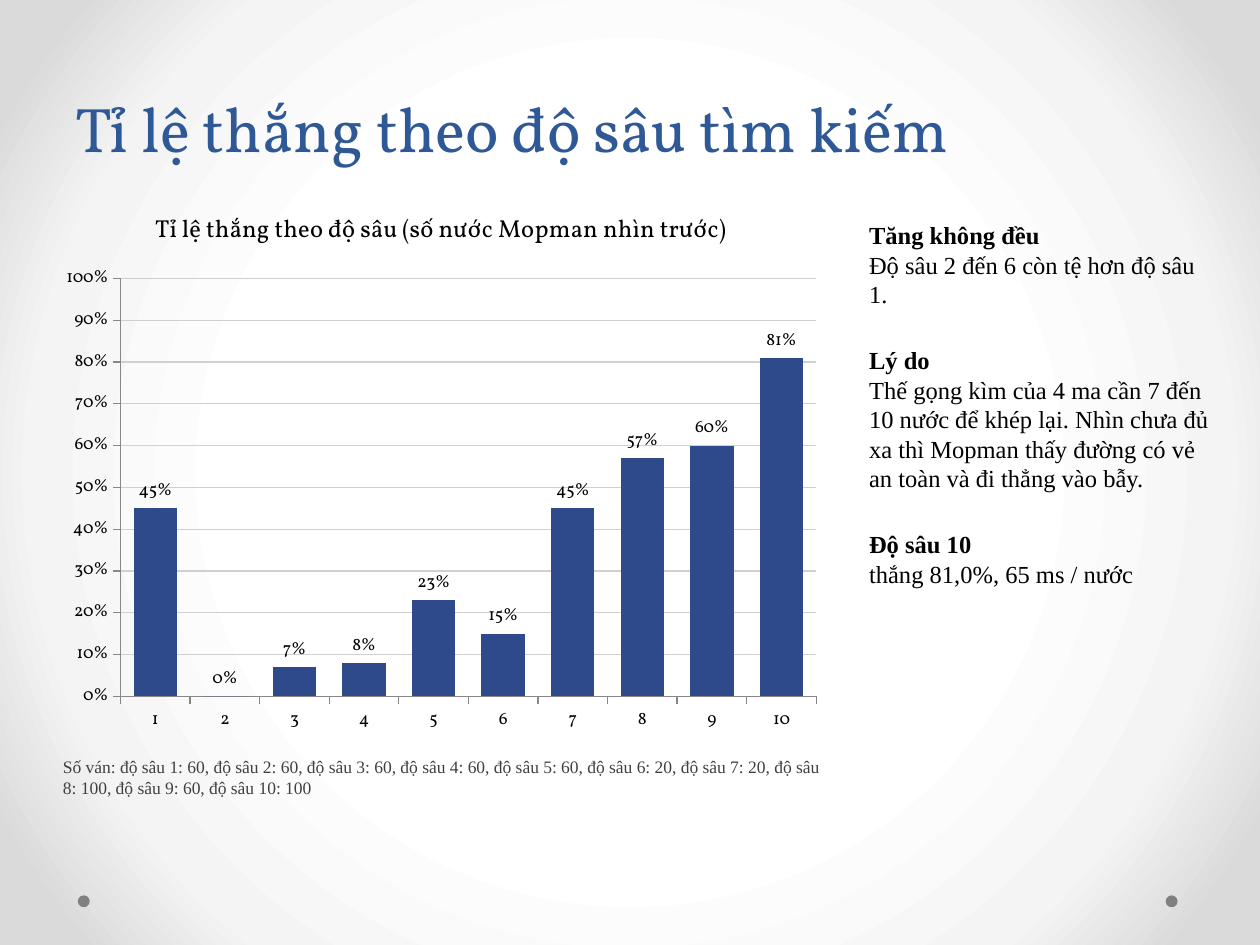
from lxml.etree import SubElement
from pptx import Presentation
from pptx.chart.data import CategoryChartData
from pptx.dml.color import RGBColor
from pptx.enum.chart import XL_CHART_TYPE, XL_LABEL_POSITION, XL_TICK_MARK
from pptx.enum.shapes import MSO_SHAPE
from pptx.enum.text import MSO_ANCHOR, MSO_AUTO_SIZE, PP_ALIGN
from pptx.oxml import parse_xml
from pptx.oxml.ns import nsdecls, qn
from pptx.util import Cm, Pt

BLACK = RGBColor(0x00, 0x00, 0x00)
GREY = RGBColor(0x40, 0x40, 0x40)
DOT = RGBColor(0x80, 0x80, 0x80)
AXIS = RGBColor(0x87, 0x87, 0x87)
GRID = RGBColor(0xD0, 0xD0, 0xD0)
TITLE = RGBColor(0x2F, 0x58, 0x97)
BAR = RGBColor(0x2E, 0x4A, 0x8B)
BACKDROP = [(50, RGBColor(0xFF, 0xFF, 0xFF)), (76, RGBColor(0xF4, 0xF4, 0xF4)),
            (92, RGBColor(0xDA, 0xDA, 0xDA))]
SERIF = "Times New Roman"
DISPLAY = "Vollkorn"

WIN_RATES = [0.45, 0, 0.07, 0.08, 0.23, 0.15, 0.45, 0.57, 0.6, 0.81]
GAMES = [60, 60, 60, 60, 60, 20, 20, 100, 60, 100]
NOTES = [
    ("Tăng không đều", "Độ sâu 2 đến 6 còn tệ hơn độ sâu 1."),
    ("Lý do", "Thế gọng kìm của 4 ma cần 7 đến 10 nước để khép lại. Nhìn chưa đủ xa "
              "thì Mopman thấy đường có vẻ an toàn và đi thẳng vào bẫy."),
    ("Độ sâu 10", "thắng 81,0%, 65 ms / nước"),
]


def style(font, size, color, name, bold=False):
    """Set size, colour, typeface and weight of a font."""
    font.size, font.name, font.bold = Pt(size), name, bold
    font.color.rgb = color


def set_background(s):
    """Fill the slide with a circular gradient."""
    s.background.fill.solid()
    bg = s.element.find(".//" + qn("p:bgPr"))
    grad = parse_xml(
        f'<a:gradFill {nsdecls("a")} rotWithShape="1"><a:gsLst/><a:path path="circle">'
        '<a:fillToRect l="50000" t="50000" r="50000" b="50000"/></a:path></a:gradFill>')
    for pos, color in BACKDROP:
        gs = SubElement(grad[0], qn("a:gs"), pos=str(pos * 1000))
        SubElement(gs, qn("a:srgbClr"), val=str(color))
    bg.replace(bg[0], grad)


def add_dot(s, left):
    """Add a small footer dot."""
    sp = s.shapes.add_shape(MSO_SHAPE.OVAL, left, Cm(18.05), Cm(0.24), Cm(0.24))
    sp.shadow.inherit = False
    sp.fill.solid()
    sp.fill.fore_color.rgb = DOT
    sp.line.fill.background()


def set_title(s, text):
    """Place and format the title placeholder."""
    sp = s.shapes.title
    sp.left, sp.top, sp.width, sp.height = Cm(1.27), Cm(0.91), Cm(22.86), Cm(2.54)
    tf = sp.text_frame
    tf.text = text
    tf.vertical_anchor = MSO_ANCHOR.BOTTOM
    p = tf.paragraphs[0]
    p.alignment = PP_ALIGN.LEFT
    p.line_spacing = Pt(58)
    style(p.runs[0].font, 36, TITLE, DISPLAY)


def add_text(s, left, top, width, height):
    """Add a wrapping text box and return its frame."""
    tf = s.shapes.add_textbox(left, top, width, height).text_frame
    tf.word_wrap = True
    tf.auto_size = MSO_AUTO_SIZE.SHAPE_TO_FIT_TEXT
    return tf


def add_caption(s):
    """Add the number of games played at each depth."""
    tf = add_text(s, Cm(1.02), Cm(15.11), Cm(15.75), Cm(1.02))
    tf.text = "Số ván: " + ", ".join(f"độ sâu {i}: {n}" for i, n in enumerate(GAMES, 1))
    style(tf.paragraphs[0].runs[0].font, 10, GREY, SERIF)


def add_notes(s):
    """Add the headed remarks beside the chart."""
    tf = add_text(s, Cm(17.27), Cm(4.32), Cm(7.37), Cm(11.18))
    for i, (head, body) in enumerate(NOTES):
        p = tf.add_paragraph() if i else tf.paragraphs[0]
        p.text = head
        if i:
            p.space_before = Pt(21)
        style(p.runs[0].font, 14, BLACK, SERIF, True)
        p = tf.add_paragraph()
        p.text = body
        style(p.runs[0].font, 14, BLACK, SERIF)


def format_axis(axis):
    """Give an axis its ticks, line and label font."""
    axis.major_tick_mark = XL_TICK_MARK.OUTSIDE
    axis.minor_tick_mark = XL_TICK_MARK.NONE
    axis.format.line.color.rgb = AXIS
    axis.format.line.width = Pt(0.75)
    style(axis.tick_labels.font, 10, BLACK, DISPLAY)


def add_win_chart(s):
    """Add the column chart of win rate by depth."""
    data = CategoryChartData(number_format="0%")
    data.categories = [str(i) for i in range(1, len(WIN_RATES) + 1)]
    data.add_series("Series 1", WIN_RATES)
    chart = s.shapes.add_chart(XL_CHART_TYPE.COLUMN_CLUSTERED, Cm(1.02), Cm(3.81),
                               Cm(15.75), Cm(11.18), data).chart
    style(chart.font, 18, BLACK, DISPLAY)
    chart.has_legend = False
    chart.has_title = True
    tf = chart.chart_title.text_frame
    tf.text = "Tỉ lệ thắng theo độ sâu (số nước Mopman nhìn trước)"
    style(tf.paragraphs[0].runs[0].font, 14, BLACK, DISPLAY)
    chart.chart_title.include_in_layout = False

    for axis in (chart.category_axis, chart.value_axis):
        format_axis(axis)
    axis = chart.value_axis
    axis.minimum_scale, axis.maximum_scale, axis.major_unit = 0, 1, 0.1
    axis.tick_labels.number_format = "0%"
    axis.tick_labels.number_format_is_linked = False
    axis.major_gridlines.format.line.color.rgb = GRID
    axis.major_gridlines.format.line.width = Pt(0.75)

    plot = chart.plots[0]
    plot.gap_width = 60
    plot.vary_by_categories = False
    series = plot.series[0]
    series.format.fill.solid()
    series.format.fill.fore_color.rgb = BAR
    labels = series.data_labels
    labels.show_value = True
    labels.position = XL_LABEL_POSITION.OUTSIDE_END
    labels.number_format = "0%"
    labels.number_format_is_linked = False
    style(labels.font, 10, BLACK, DISPLAY)


def main():
    """Build the slide and save it."""
    prs = Presentation()
    prs.slide_width, prs.slide_height = Cm(25.4), Cm(19.05)
    s = prs.slides.add_slide(prs.slide_layouts[5])
    set_background(s)
    for left in (Cm(23.5), Cm(1.57)):
        add_dot(s, left)
    set_title(s, "Tỉ lệ thắng theo độ sâu tìm kiếm")
    add_win_chart(s)
    add_caption(s)
    add_notes(s)
    prs.save("out.pptx")


if __name__ == "__main__":
    main()
